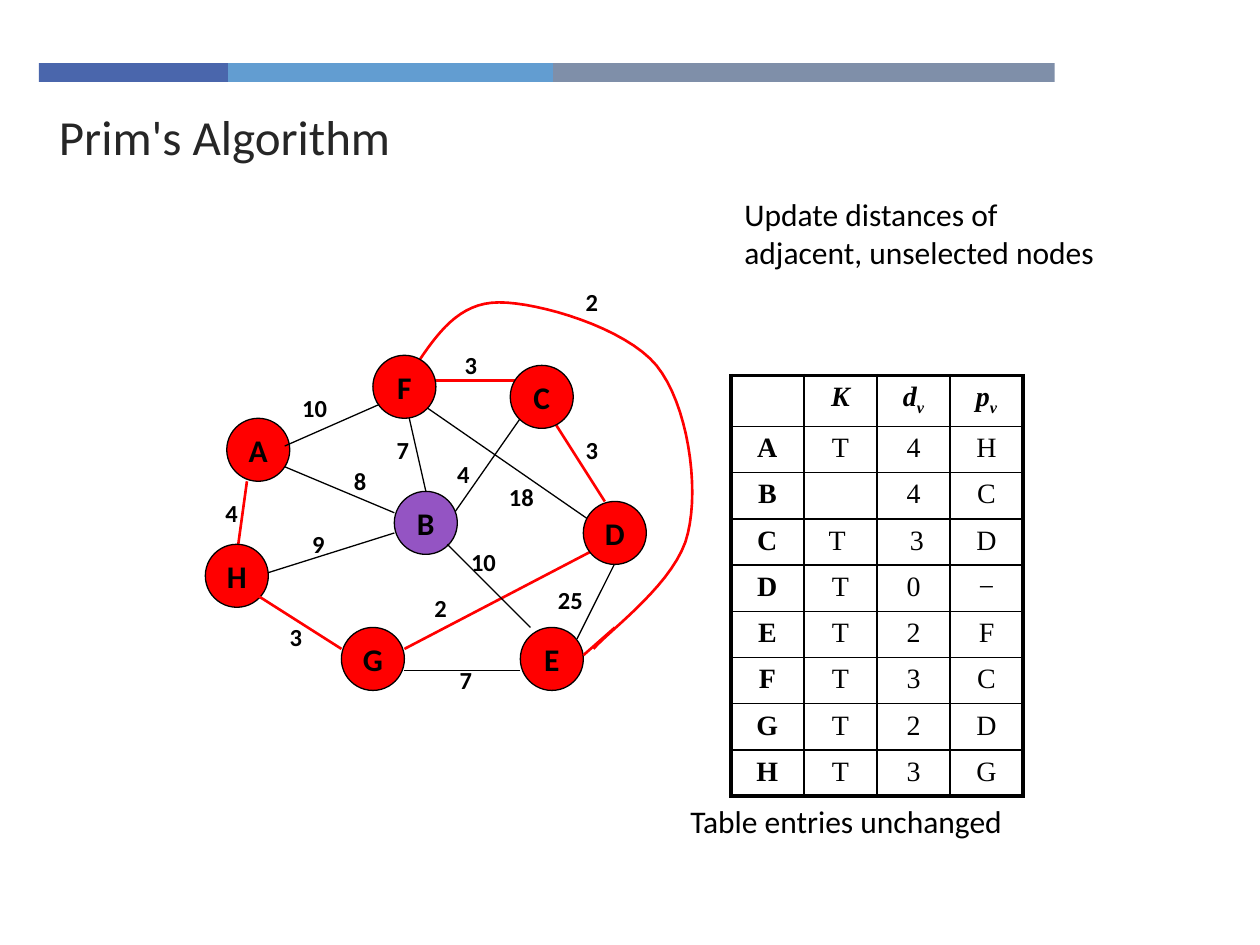
from lxml import etree
from pptx import Presentation
from pptx.dml.color import RGBColor
from pptx.enum.shapes import MSO_CONNECTOR, MSO_SHAPE
from pptx.enum.text import MSO_ANCHOR, PP_ALIGN
from pptx.oxml.ns import qn
from pptx.util import Inches, Pt

LINE, RECT, OVAL = MSO_CONNECTOR.STRAIGHT, MSO_SHAPE.RECTANGLE, MSO_SHAPE.OVAL
MIDDLE, CENTER, LEFT = MSO_ANCHOR.MIDDLE, PP_ALIGN.CENTER, PP_ALIGN.LEFT

BLACK = RGBColor(0x00, 0x00, 0x00)
RED = RGBColor(0xFF, 0x00, 0x00)
PURPLE = RGBColor(0x94, 0x54, 0xC3)
TITLE_GREY = RGBColor(0x26, 0x26, 0x26)
BAND_BLUE = RGBColor(0x4A, 0x66, 0xAC)
BAND_SKY = RGBColor(0x62, 0x9D, 0xD1)
BAND_GREY = RGBColor(0x7F, 0x8F, 0xA9)

SANS, SERIF = "Calibri", "Times New Roman"
NODE_SIZE = 0.5

BANDS = [(0.31, 1.5, BAND_BLUE), (1.81, 2.58, BAND_SKY), (4.39, 3.98, BAND_GREY)]
NODES = {"A": (1.8, 3.32), "H": (1.63, 4.32), "B": (3.13, 3.9), "F": (2.96, 2.82),
         "E": (4.13, 4.98), "D": (4.63, 3.98), "C": (4.05, 2.9), "G": (2.71, 4.98)}
# Edges: x1, y1, x2, y2, colour
EDGES_BEHIND = [
    (5, 4.23, 4.58, 5.07, BLACK), (3.21, 3.15, 3.38, 3.9, BLACK),
    (3.55, 4.15, 4.13, 3.32, BLACK), (4.71, 4.15, 3.38, 3.23, BLACK),
    (2.05, 4.57, 3.13, 4.23, BLACK), (3.21, 5.15, 4.8, 4.32, RED),
    (1.88, 4.4, 1.96, 3.82, RED), (2.13, 3.65, 3.13, 4.07, BLACK),
    (3.43, 3.02, 4.21, 3.02, RED), (4.38, 3.32, 4.8, 3.98, RED),
]
EDGES_IN_FRONT = [
    (3.55, 4.32, 4.21, 4.98, BLACK), (4.13, 5.32, 3.21, 5.32, BLACK),
    (2.71, 5.15, 2.05, 4.73, RED), (2.26, 3.54, 3.01, 3.21, BLACK),
    (4.88, 4.98, 4.63, 5.2, RED),
]
F_TO_E_START = (3.3, 2.9)
F_TO_E_CURVES = [
    ((3.47, 2.65), (3.64, 2.4), (3.96, 2.4)),
    ((4.28, 2.4), (4.96, 2.6), (5.21, 2.9)),
    ((5.46, 3.21), (5.55, 3.86), (5.46, 4.23)),
    ((5.38, 4.61), (4.84, 5), (4.71, 5.15)),
]
WEIGHTS = [
    ("4", 1.69, 3.9), ("25", 4.33, 4.59), ("7", 3.55, 5.23), ("2", 3.35, 4.66),
    ("10", 3.64, 4.29), ("18", 3.94, 3.78), ("3", 4.55, 3.4), ("4", 3.53, 3.59),
    ("3", 3.59, 2.73), ("7", 3.05, 3.4), ("8", 2.71, 3.65), ("9", 2.38, 4.15),
    ("3", 2.2, 4.89), ("10", 2.3, 3.07), ("2", 4.55, 2.23),
]
TABLE_ROWS = [
    ("", "K", "dv", "pv"),
    ("A", "T", "4", "H"), ("B", "", "4", "C"), ("C", "T ", " 3", "D"),
    ("D", "T", "0", "−"), ("E", "T", "2", "F"), ("F", "T", "3", "C"),
    ("G", "T", "2", "D"), ("H", "T", "3", "G"),
]


def bezier(p0, p1, p2, p3, steps=16):
    """Return points along a cubic curve, without its start."""
    points = []
    for i in range(1, steps + 1):
        t = i / steps
        u = 1 - t
        points.append(tuple(u**3 * a + 3 * u * u * t * b + 3 * u * t * t * c + t**3 * d
                            for a, b, c, d in zip(p0, p1, p2, p3)))
    return points


class GraphSlide:
    def __init__(self, slide):
        self.slide = slide
        self.shapes = slide.shapes

    def style(self, p, size, bold=False, color=BLACK, font=SANS, italic=False, align=LEFT):
        p.alignment = align
        for r in p.runs:
            r.font.name, r.font.size = font, Pt(size)
            r.font.bold, r.font.italic = bold, italic
            r.font.color.rgb = color

    def stroke(self, line, color):
        line.color.rgb = color
        line.width = Pt(1.5 if color == RED else 0.75)

    def band(self, x, w, color):
        sp = self.shapes.add_shape(RECT, Inches(x), Inches(0.5), Inches(w), Inches(0.15))
        sp.shadow.inherit = False
        sp.fill.solid()
        sp.fill.fore_color.rgb = color
        sp.line.fill.background()

    def text(self, text, x, y, w, h, size, **style):
        tf = self.shapes.add_textbox(Inches(x), Inches(y), Inches(w), Inches(h)).text_frame
        tf.word_wrap = True
        tf.text = text
        self.style(tf.paragraphs[0], size, **style)

    def edge(self, x1, y1, x2, y2, color):
        cxn = self.shapes.add_connector(LINE, Inches(x1), Inches(y1), Inches(x2), Inches(y2))
        self.stroke(cxn.line, color)
        etree.SubElement(cxn._element.spPr, qn("a:effectLst"))

    def curve(self, start, curves, color):
        points = [start]
        for controls in curves:
            points += bezier(points[-1], *controls)
        first, *rest = [(Inches(x), Inches(y)) for x, y in points]
        builder = self.shapes.build_freeform(*first)
        builder.add_line_segments(rest, close=False)
        sp = builder.convert_to_shape()
        sp.shadow.inherit = False
        sp.fill.background()
        self.stroke(sp.line, color)

    def node(self, name, x, y, color):
        sp = self.shapes.add_shape(OVAL, Inches(x), Inches(y),
                                   Inches(NODE_SIZE), Inches(NODE_SIZE))
        sp.shadow.inherit = False
        sp.fill.solid()
        sp.fill.fore_color.rgb = color
        self.stroke(sp.line, BLACK)
        tf = sp.text_frame
        tf.word_wrap = False
        tf.vertical_anchor = MIDDLE
        tf.text = name
        self.style(tf.paragraphs[0], 18, bold=True, align=CENTER)

    def borders(self, cell, outer):
        """Draw all four sides, thicker on those named in outer."""
        tc_pr = cell._tc.get_or_add_tcPr()
        for side in "LRTB":
            width = Pt(2.25 if side in outer else 1)
            ln = etree.SubElement(tc_pr, qn("a:ln" + side), w=str(width))
            fill = etree.SubElement(ln, qn("a:solidFill"))
            etree.SubElement(fill, qn("a:srgbClr"), val=str(BLACK))

    def cell_text(self, p, parts, **style):
        """Write the parts as runs, those after the first as subscripts."""
        for k, part in enumerate(parts):
            r = p.add_run()
            r.text = part
            if k:
                r._r.get_or_add_rPr().set("baseline", "-25000")
        self.style(p, 16, font=SERIF, align=CENTER, **style)
        if not parts:
            end = etree.SubElement(p._p, qn("a:endParaRPr"), sz="1600")
            etree.SubElement(end, qn("a:latin"), typeface=SERIF)

    def table(self, rows, x, y, col_w, header_h, row_h):
        n_rows, n_cols = len(rows), len(rows[0])
        height = header_h + row_h * (n_rows - 1)
        table = self.shapes.add_table(n_rows, n_cols, Inches(x), Inches(y),
                                      Inches(col_w * n_cols), Inches(height)).table
        table.first_row = table.horz_banding = False
        for col in table.columns:
            col.width = Inches(col_w)
        for i, values in enumerate(rows):
            table.rows[i].height = Inches(row_h if i else header_h)
            for j, value in enumerate(values):
                cell = table.cell(i, j)
                edges = {"T": i == 0, "B": i == n_rows - 1, "L": j == 0, "R": j == n_cols - 1}
                self.borders(cell, [side for side, on in edges.items() if on])
                cell.fill.background()
                parts = list(value) if i == 0 else [value] if value else []
                self.cell_text(cell.text_frame.paragraphs[0], parts,
                               bold=i == 0 or j == 0, italic=i == 0)


def main():
    prs = Presentation()
    prs.slide_width, prs.slide_height = Inches(10), Inches(7.5)
    s = GraphSlide(prs.slides.add_slide(prs.slide_layouts[6]))
    for band in BANDS:
        s.band(*band)
    s.text("Prim's Algorithm", 0.37, 0.8, 7.16, 0.54, 28, color=TITLE_GREY)

    s.curve(F_TO_E_START, F_TO_E_CURVES, RED)
    for edge in EDGES_BEHIND:
        s.edge(*edge)
    for name, (x, y) in NODES.items():
        s.node(name, x, y, PURPLE if name == "B" else RED)
    for edge in EDGES_IN_FRONT:
        s.edge(*edge)
    for weight, x, y in WEIGHTS:
        s.text(weight, x, y, 0.33 if len(weight) == 1 else 0.52, 0.33, 14, bold=True)

    s.text("Update distances of adjacent, unselected nodes", 5.81, 1.5, 3.17, 0.77, 18)
    s.table(TABLE_ROWS, 5.8, 2.98, 0.58, 0.4, 0.36)
    s.text("Table entries unchanged", 5.38, 6.32, 3.08, 0.43, 18)
    prs.save("out.pptx")


if __name__ == "__main__":
    main()
